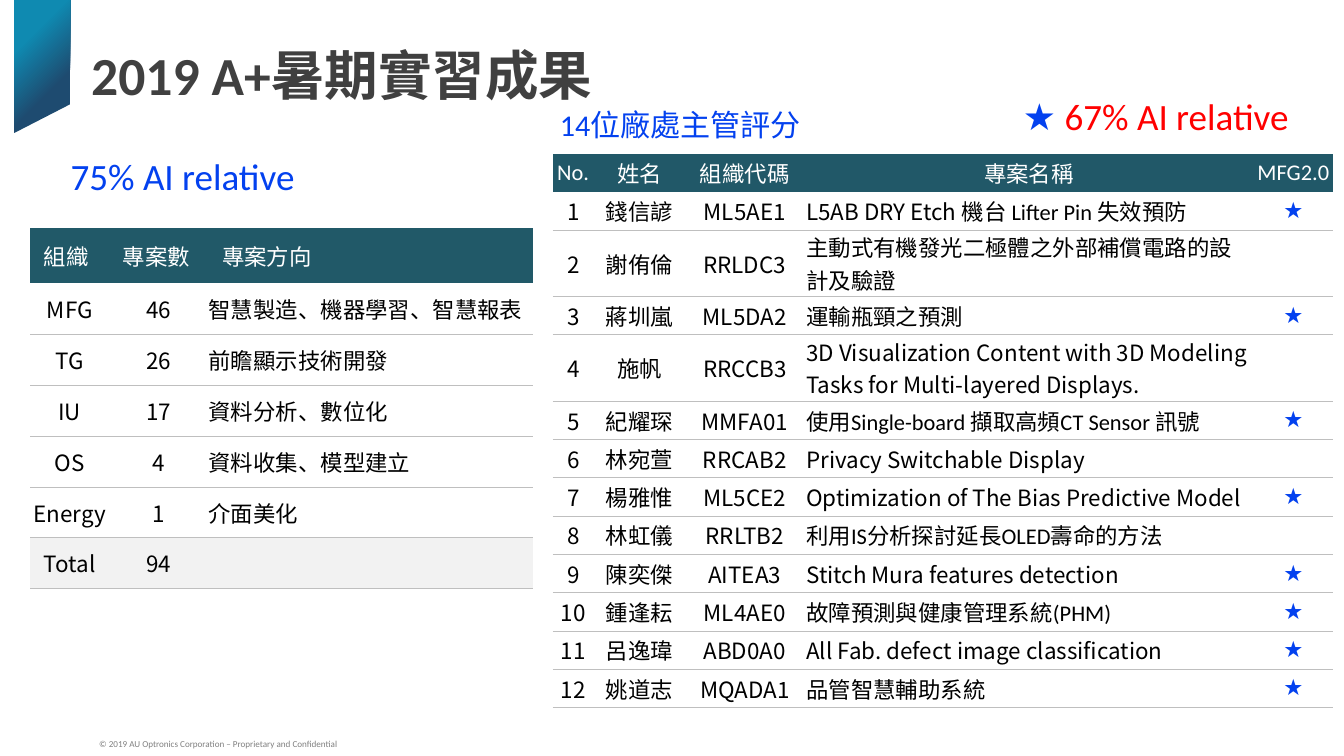
from lxml import etree
from pptx import Presentation
from pptx import util as u
from pptx.dml.color import RGBColor
from pptx.enum import text
from pptx.oxml import parse_xml
from pptx.oxml.ns import qn

NS = 'xmlns:a="http://schemas.openxmlformats.org/drawingml/2006/main"'
PLAIN = "{2D5ABB26-0587-4C30-8999-92F81FD0307C}"  # no style, no grid
LATIN, CJK = "Calibri", "Noto Sans CJK SC"
BLUE, RED, WHITE, BLACK = "0341EF", "FF0000", "FFFFFF", "000000"
RULE, PALE = "BFBFBF", "F2F2F2"
STAR = "★"

GROUPS = [
    ("組織", "專案數", "專案方向"),
    ("MFG", "46", "智慧製造、機器學習、智慧報表"),
    ("TG", "26", "前瞻顯示技術開發"),
    ("IU", "17", "資料分析、數位化"),
    ("OS", "4", "資料收集、模型建立"),
    ("Energy", "1", "介面美化"),
    ("Total", "94", ""),
]
# name, code, project (a bar parts two runs), star
WORKS = [
    ("錢信諺", "ML5AE1", "L5AB DRY Etch |機台 Lifter Pin 失效預防", STAR),
    ("謝侑倫", "RRLDC3", "主動式有機發光二極體之外部補償電路的設計及驗證", ""),
    ("蔣圳嵐", "ML5DA2", "運輸瓶頸之預測", STAR),
    ("施帆", "RRCCB3", "3D Visualization Content with 3D Modeling "
     "Tasks for Multi-layered Displays.", ""),
    ("紀耀琛", "MMFA01", "使用Single-board 擷取高頻CT Sensor 訊號", STAR),
    ("林宛萱", "RRCAB2", "Privacy Switchable Display", ""),
    ("楊雅惟", "ML5CE2", "Optimization of The Bias Predictive Model", STAR),
    ("林虹儀", "RRLTB2", "利用IS分析探討延長OLED壽命的方法", ""),
    ("陳奕傑", "AITEA3", "Stitch Mura features detection", STAR),
    ("鍾逢耘", "ML4AE0", "故障預測與健康管理系統(PHM)", STAR),
    ("呂逸瑋", "ABD0A0", "All Fab. defect image classification", STAR),
    ("姚道志", "MQADA1", "品管智慧輔助系統", STAR),
]


def paint(hue):
    return RGBColor.from_string(hue)


class Deck:
    def __init__(self, wide, high):
        self.prs = Presentation()
        self.prs.slide_width = u.Inches(wide)
        self.prs.slide_height = u.Inches(high)
        self.slide = self.prs.slides.add_slide(self.prs.slide_layouts[5])

    def style(self, run, size, hue, face=LATIN, bold=False):
        font = run.font
        font.size, font.name, font.bold = u.Pt(size), face, bold
        font.color.rgb = paint(hue)
        east = etree.SubElement(run._r.get_or_add_rPr(), qn("a:ea"))
        east.set("typeface", CJK)

    def inset(self, frame, side, top):
        frame.margin_left = frame.margin_right = u.Inches(side)
        frame.margin_top = frame.margin_bottom = u.Inches(top)

    def title(self, words, box, size, hue):
        shape = self.slide.shapes.title
        shape.left, shape.top, shape.width, shape.height = map(u.Inches, box)
        frame = shape.text_frame
        frame.text = words
        frame.auto_size = text.MSO_AUTO_SIZE.NONE
        frame.vertical_anchor = text.MSO_ANCHOR.MIDDLE
        self.inset(frame, 0.27, 0.13)
        para = frame.paragraphs[0]
        para.alignment = text.PP_ALIGN.LEFT
        self.style(para.runs[0], size, hue, bold=True)

    def label(self, parts, box, size, side=0.27):
        """Add a text box; parts are pairs of words and colour."""
        frame = self.slide.shapes.add_textbox(*map(u.Inches, box)).text_frame
        frame.word_wrap = True
        self.inset(frame, side, 0.13)
        for words, hue in parts:
            run = frame.paragraphs[0].add_run()
            run.text = words
            self.style(run, size, hue)
        return frame

    def ribbon(self, points, stops):
        """Draw a closed outline with a gradient that spreads from top left."""
        spots = [(u.Inches(x), u.Inches(y)) for x, y in points]
        pen = self.slide.shapes.build_freeform(*spots[0])
        pen.add_line_segments(spots[1:], close=True)
        shape = pen.convert_to_shape()
        shape.shadow.inherit = False
        shape.line.fill.background()
        marks = "".join(
            f'<a:gs pos="{pos * 1000}"><a:srgbClr val="{hue}"/></a:gs>'
            for pos, hue in stops)
        grad = parse_xml(
            f'<a:gradFill {NS} rotWithShape="1"><a:gsLst>{marks}</a:gsLst>'
            '<a:path path="circle"><a:fillToRect r="100000" b="100000"/>'
            '</a:path></a:gradFill>')
        shape._element.spPr.find(qn("a:custGeom")).addnext(grad)

    def cell(self, cell, words, hue, face, mid, pad, fill):
        cell.vertical_anchor = text.MSO_ANCHOR.MIDDLE
        self.inset(cell, *pad)
        para = cell.text_frame.paragraphs[0]
        para.alignment = text.PP_ALIGN.CENTER if mid else text.PP_ALIGN.LEFT
        for part in words.split("|"):
            run = para.add_run()
            run.text = part
            tone = BLUE if part == STAR else hue
            self.style(run, 32, tone, face or (CJK if part.isascii() else LATIN))
        if fill:
            cell.fill.solid()
            cell.fill.fore_color.rgb = paint(fill)
        else:
            cell.fill.background()

    def rule(self, cell):
        """Draw a thin line under a cell."""
        cell._tc.get_or_add_tcPr().insert(0, parse_xml(
            f'<a:lnB {NS} w="12700"><a:solidFill><a:srgbClr val="{RULE}"/>'
            '</a:solidFill></a:lnB>'))

    def table(self, rows, spot, cols, highs, head, pads, left, face=None,
              total=False):
        """Add a table; left is the column whose body is not centred."""
        grid = self.slide.shapes.add_table(
            len(rows), len(cols), *map(u.Inches, (*spot, sum(cols), sum(highs)))
        ).table
        grid.first_row = grid.horz_banding = False
        grid._tbl.tblPr.find(qn("a:tableStyleId")).text = PLAIN
        for col, wide in zip(grid.columns, cols):
            col.width = u.Inches(wide)
        for i, (row, high) in enumerate(zip(rows, highs)):
            grid.rows[i].height = u.Inches(high)
            for j, words in enumerate(row):
                cell = grid.cell(i, j)
                if i == 0:
                    self.cell(cell, words, WHITE, LATIN, not total, pads[0], head)
                    continue
                last = total and i == len(rows) - 1
                self.cell(cell, words, BLACK, face, j != left, pads[1],
                          PALE if last else None)
                self.rule(cell)


def main():
    deck = Deck(26.67, 15)
    deck.ribbon([(0.28, 2.64), (1.39, 2.07), (1.39, -0.24), (0.28, -0.24)],
                [(32, "0F8AB1"), (70, "1E4B70")])
    foot = deck.label(
        [("© 2019 AU Optronics Corporation – Proprietary and Confidential",
          "808080")], (1.76, 14.49, 10, 0.47), 13, side=0.21)
    foot.vertical_anchor = text.MSO_ANCHOR.BOTTOM
    foot.paragraphs[0].line_spacing = 0.8
    deck.title("2019 A+暑期實習成果", (1.54, 0.74, 21.77, 1.44), 76.5, "404040")

    deck.table(GROUPS, (0.6, 4.52), [1.57, 1.97, 6.43], [1.1] + [1.01] * 6,
               "215968", [(0.27, 0.1), (0, 0)], left=2, face=CJK, total=True)
    works = [("No.", "姓名", "組織代碼", "專案名稱", "MFG2.0")]
    works += [(str(n), *work) for n, work in enumerate(WORKS, 1)]
    highs = [0.76] * len(works)
    highs[2], highs[4] = 1.31, 1.32  # titles on two lines
    deck.table(works, (10.97, 3.05), [0.81, 1.82, 2.36, 8.92, 1.57], highs,
               "215868", [(0.04, 0)] * 2, left=3)

    deck.label([(STAR + " ", BLUE), ("67% AI relative", RED)],
               (20.03, 1.73, 6.3, 1.17), 53)
    deck.label([("75% AI relative", BLUE)], (1.13, 2.91, 9.58, 1.17), 53)
    deck.label([("14位廠處主管評分", BLUE)], (10.84, 1.99, 9.58, 0.99), 43)
    deck.prs.save("out.pptx")


if __name__ == "__main__":
    main()
